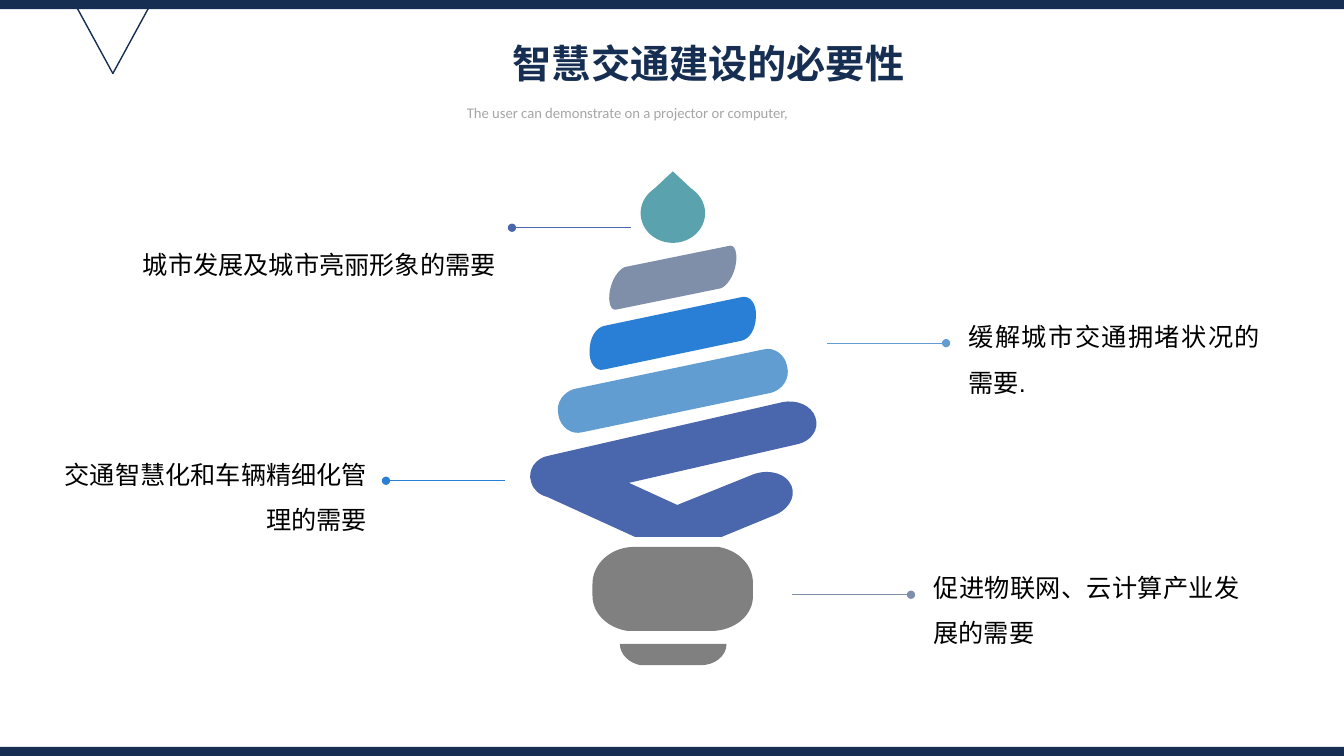
import pptx
import pptx.util
import pptx.dml.color
import pptx.enum.shapes
import pptx.enum.text
import pptx.oxml.ns
import lxml.etree

Pt = pptx.util.Pt
RGB = pptx.dml.color.RGBColor
Kind = pptx.enum.shapes.MSO_SHAPE
Align = pptx.enum.text.PP_ALIGN
qn = pptx.oxml.ns.qn

NAVY = RGB(0x15, 0x2E, 0x52)
INDIGO = RGB(0x4A, 0x66, 0xAC)
SKY = RGB(0x62, 0x9D, 0xD1)
BLUE = RGB(0x29, 0x7F, 0xD5)
SLATE = RGB(0x7F, 0x8F, 0xA9)
TEAL = RGB(0x5A, 0xA2, 0xAE)
GREY = RGB(0x80, 0x80, 0x80)
PALE = RGB(0xA6, 0xA6, 0xA6)
BLACK = RGB(0, 0, 0)

WIDE, HIGH, EDGE = 960, 540, 6.5
REACH = 85
AXIS = 480.6

TITLE = ("智慧交通建设的必要性", (359.2, 19.8, 316.8, 43.2))
NOTE = ("The user can demonstrate on a projector or computer,",
        (326.4, 69.1, 307.4, 20.9))

CALLS = [
    ("城市发展及城市亮丽形象的需要", (73.1, 163.8, 288, 36), (450.7, 162.7), -1, INDIGO),
    ("缓解城市交通拥堵状况的需要.", (684.7, 215.3, 222.5, 69.1), (590.8, 245.1), 1, SKY),
    ("交通智慧化和车辆精细化管理的需要", (35.3, 313.6, 234, 69.1), (360.7, 343.4), -1, BLUE),
    ("促进物联网、云计算产业发展的需要", (659.8, 394.2, 232.6, 69.1), (565.7, 424.8), 1, SLATE),
]

BARS = [
    (279.2, SKY, (64.4, -29.5), (72.4, -31.7, 80.3, -25.9, 81.7, -17.3),
     (83.9, -8.6, 78.1, -0.7, 70.2, 1.4)),
    (238.1, BLUE, (49.3, -25.9), (55.1, -27.4, 60.1, -20.9, 59.4, -12.2),
     (59.4, -3.6, 55.1, 4.3, 48.6, 5.4)),
    (198.4, SLATE, (40, -22.7), (44.3, -24.1, 46.4, -17.6, 45, -9.7),
     (43.6, -1.1, 38.5, 6.1, 34.2, 7.6)),
]

COIL = [
    (391, 355), (453.6, 383.5), (515.5, 383.5), (555.1, 367.2),
    (565.2, 362.2, 569.5, 352.1, 563.8, 344.2),
    (558.7, 337, 546.5, 334.8, 535.7, 339.8),
    (483.8, 360.7), (449.3, 344.9), (568.8, 317.5),
    (579.6, 315.4, 585.4, 306.7, 582.5, 298.1),
    (579.6, 289.4, 568.8, 285.1, 558.7, 287.3),
    (392.4, 325.4),
    (382.3, 326.9, 376.6, 336.2, 379.4, 344.2),
    (380.9, 349.9, 385.2, 353.5, 391, 355),
]
SOCKET = [
    (513.4, 390.7), (451.4, 390.7), (435.6, 391.4, 423.2, 403.2, 423.2, 416.9),
    (423.2, 425.5), (423.2, 438.5, 434.2, 448.6, 448.6, 450.7),
    (507.6, 450.7), (524.9, 450.7, 538.6, 439.2, 537.8, 424.8),
    (537.8, 416.2), (537.8, 403.2, 527, 393.1, 513.4, 390.7),
]
FOOT = [
    (442.8, 459.9), (442.8, 467.3, 449.3, 473.8, 457.9, 475.2),
    (500.4, 475.2), (510.5, 475.2, 519, 468.7, 519, 459.9),
]

deck = pptx.Presentation()
deck.slide_width, deck.slide_height = Pt(WIDE), Pt(HIGH)
slide = deck.slides.add_slide(deck.slide_layouts[6])
shapes = slide.shapes


def paint(shape, color):
    shape.shadow.inherit = False
    shape.fill.solid()
    shape.fill.fore_color.rgb = color
    shape.line.fill.background()


def add_form(kind, box, color):
    shape = shapes.add_shape(kind, *map(Pt, box))
    paint(shape, color)
    return shape


def add_free(parts, color):
    dots = [(Pt(part[i]), Pt(part[i + 1]))
            for part in parts for i in range(0, len(part), 2)]
    form = shapes.build_freeform(*dots[0])
    form.add_line_segments(dots[1:], close=True)
    shape = form.convert_to_shape()
    paint(shape, color)
    lines = iter(list(shape._element.iter(qn("a:lnTo"))))
    for part in parts[1:]:
        first = next(lines)
        if len(part) == 6:
            first.addprevious(lxml.etree.Element(qn("a:cubicBezTo")))
            curve = first.getprevious()
            for line in (first, next(lines), next(lines)):
                curve.append(line[0])
                line.getparent().remove(line)


def place(part, mid, sign):
    return tuple((mid if i % 2 else AXIS) + sign * v for i, v in enumerate(part))


def add_text(words, box, size, color, align, gap, font="Arial", bold=False):
    frame = shapes.add_textbox(*map(Pt, box)).text_frame
    frame.word_wrap = True
    frame.auto_size = pptx.enum.text.MSO_AUTO_SIZE.SHAPE_TO_FIT_TEXT
    frame.text = words
    para = frame.paragraphs[0]
    para.alignment, para.line_spacing = align, gap
    face = para.runs[0].font
    face.name, face.size, face.bold = font, Pt(size), bold
    face.color.rgb = color


def add_lead(start, way, color):
    x, y = start
    lead = shapes.add_connector(pptx.enum.shapes.MSO_CONNECTOR.STRAIGHT,
                                Pt(x), Pt(y), Pt(x + way * REACH), Pt(y))
    lead.line.width = Pt(0.5)
    lead.line.color.rgb = color
    props = lead._element.spPr
    lxml.etree.SubElement(props.find(qn("a:ln")), qn("a:tailEnd"), type="oval")
    lxml.etree.SubElement(props, qn("a:effectLst"))


for top in (0, HIGH - EDGE):
    add_form(Kind.RECTANGLE, (0, top, WIDE, EDGE), NAVY)

mark = add_form(Kind.ISOSCELES_TRIANGLE, (54.7, 5, 51.8, 47.5), NAVY)
mark.rotation = 180
mark.fill.background()
mark.line.color.rgb = NAVY
mark.line.width = Pt(1)

for mid, color, *cap in BARS:
    add_free([place(part, mid, sign) for sign in (1, -1) for part in cap], color)
for parts, color in ((COIL, INDIGO), (SOCKET, GREY), (FOOT, GREY)):
    add_free(parts, color)
add_form(Kind.OVAL, (457.6, 131, 46.1, 42.5), TEAL)
add_form(Kind.ISOSCELES_TRIANGLE, (464.4, 122.4, 32.4, 15.1), TEAL)

for words, box, start, way, color in CALLS:
    add_lead(start, way, color)
    add_text(words, box, 18, BLACK, Align.JUSTIFY if way > 0 else Align.RIGHT, 1.5)
add_text(*TITLE, 28, NAVY, Align.LEFT, 1.14, bold=True)
add_text(*NOTE, 10.5, PALE, Align.JUSTIFY, 1.14, font="Calibri")

deck.save("out.pptx")
